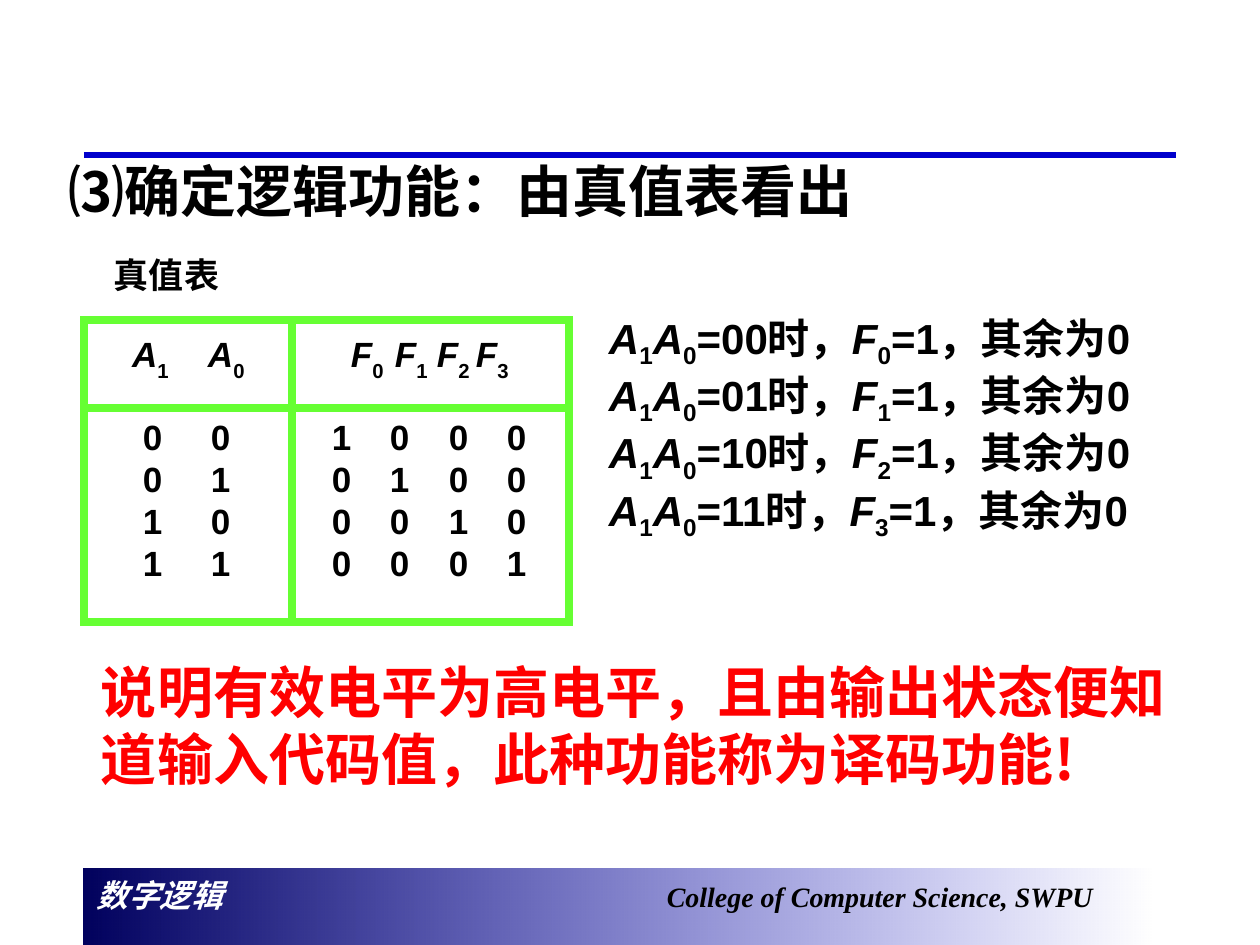
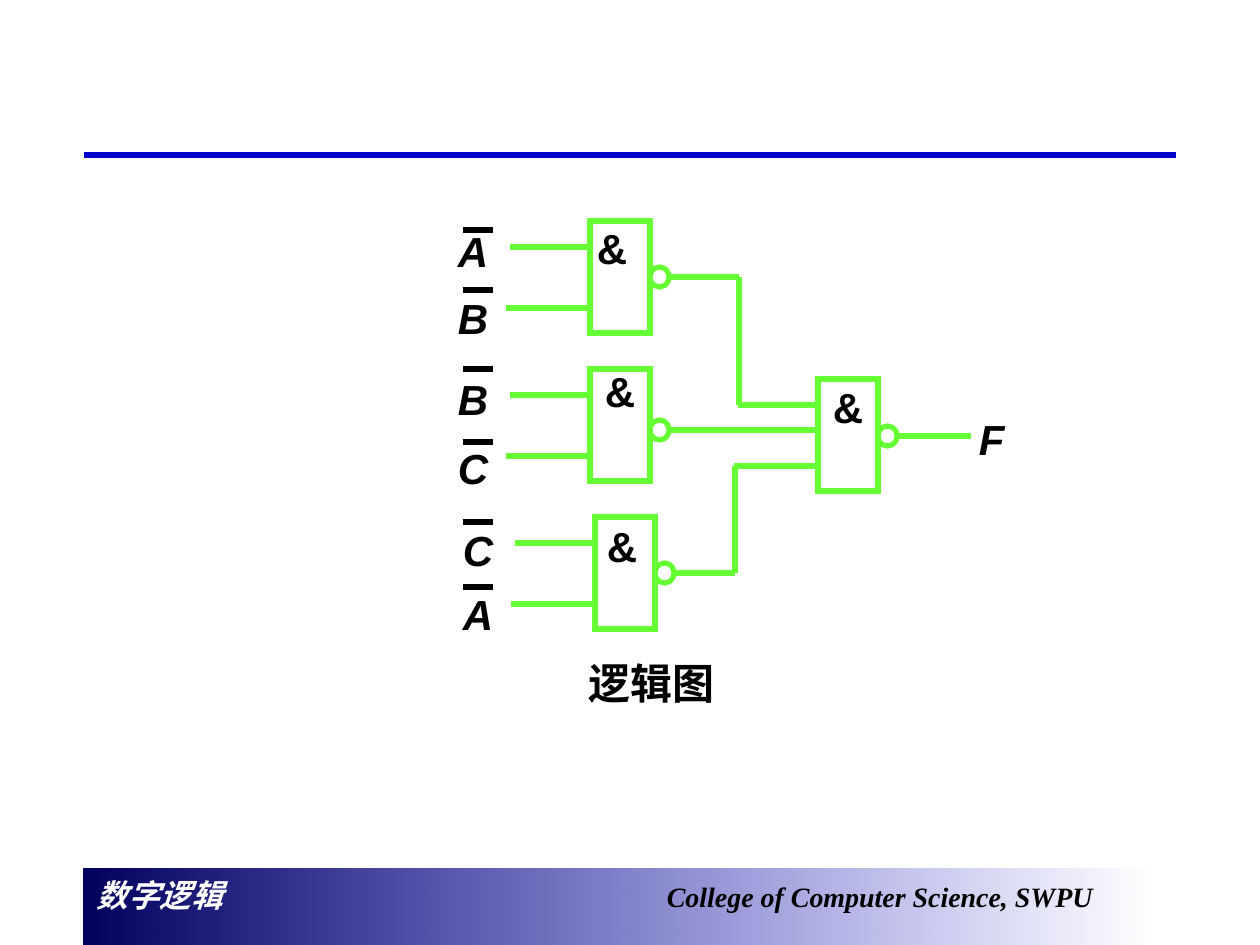
from typing import NamedTuple

from lxml import etree
from pptx import Presentation
from pptx import util as u
from pptx.dml.color import RGBColor
from pptx.enum import shapes, text
from pptx.oxml import ns

BLACK = RGBColor(0, 0, 0)
WHITE = RGBColor(255, 255, 255)
RED = RGBColor(255, 0, 0)
GREEN = RGBColor(0x66, 0xFF, 0x33)
BLUE = RGBColor(0, 0, 0xCC)
NAVY = RGBColor(0, 0, 0x5E)
ARIAL = "Arial"
TIMES = "Times New Roman"
HAN = "Noto Sans CJK SC"
SCALE = 914400 / 126
LEFT = text.PP_ALIGN.LEFT
MID = text.PP_ALIGN.CENTER


class Box(NamedTuple):
    x: int
    y: int
    w: int
    h: int


class Bit(NamedTuple):
    text: str
    slant: bool = False
    drop: int = 0


class Style(NamedTuple):
    size: int
    color: RGBColor = BLACK
    face: str = ARIAL
    lead: float = 0
    align: text.PP_ALIGN = LEFT
    inset: int = 13
    tabs: tuple[int, ...] = ()


class Gate(NamedTuple):
    x: int
    y: int
    dot: int
    end: int
    sign: tuple[int, int]


class Input(NamedTuple):
    name: str
    x: int
    y: int
    bar: int


class Group(NamedTuple):
    name: str
    x: int
    width: int
    heads: tuple[int, ...]
    stops: tuple[int, ...]
    rows: tuple[str, ...]


GATES = [
    Gate(590, 221, 56, 739, (-6, -5)),
    Gate(590, 369, 61, 818, (2, -10)),
    Gate(595, 517, 56, 735, (-1, -3)),
    Gate(818, 379, 57, 971, (2, -4)),
]
INPUTS = [
    Input("A", 445, 219, 230),
    Input("B", 445, 286, 290),
    Input("B", 445, 367, 369),
    Input("C", 445, 436, 442),
    Input("C", 450, 518, 522),
    Input("A", 450, 582, 587),
]
GROUPS = [
    Group("A", 84, 208, (132, 208), (143, 211), ("00", "01", "10", "11")),
    Group("F", 292, 277, (351, 395, 437, 476), (332, 390, 449, 507),
          ("1000", "0100", "0010", "0001")),
]


def px(n: int) -> u.Emu:
    return u.Emu(round(n * SCALE))


def place(box: Box) -> tuple[u.Emu, ...]:
    return tuple(px(n) for n in box)


def add_run(para, bit: Bit, style: Style) -> None:
    run = para.add_run()
    run.text = bit.text
    font = run.font
    font.name = style.face
    font.size = u.Pt(style.size)
    font.bold = True
    font.italic = bit.slant
    font.color.rgb = style.color
    props = font._element
    etree.SubElement(props, ns.qn("a:ea")).set("typeface", HAN)
    if bit.drop:
        props.set("baseline", str(-1000 * bit.drop))


def add_tabs(para, stops: tuple[int, ...]) -> None:
    tabs = etree.SubElement(para._p.get_or_add_pPr(), ns.qn("a:tabLst"))
    for stop in stops:
        etree.SubElement(tabs, ns.qn("a:tab"), pos=str(px(stop)), algn="l")


def write(frame, lines: list[list[Bit]], style: Style) -> None:
    frame.word_wrap = True
    frame.auto_size = text.MSO_AUTO_SIZE.NONE
    frame.vertical_anchor = text.MSO_ANCHOR.TOP
    frame.margin_left = px(style.inset)
    for i, line in enumerate(lines):
        para = frame.add_paragraph() if i else frame.paragraphs[0]
        if style.tabs:
            add_tabs(para, style.tabs)
        para.alignment = style.align
        if style.lead:
            para.line_spacing = u.Pt(style.lead)
        for bit in line:
            add_run(para, bit, style)


def label(slide, box: Box, lines: list[list[Bit]], style: Style) -> None:
    write(slide.shapes.add_textbox(*place(box)).text_frame, lines, style)


def var(name: str, index: str, drop: int) -> list[Bit]:
    return [Bit(name, slant=True), Bit(index, drop=drop)]


def wire(slide, x1: int, y1: int, x2: int, y2: int, color: RGBColor = GREEN) -> None:
    ends = [px(n) for n in (x1, y1, x2, y2)]
    line = slide.shapes.add_connector(shapes.MSO_CONNECTOR.STRAIGHT, *ends)
    line.line.color.rgb = color
    line.line.width = u.Pt(3)
    etree.SubElement(line._element.spPr, ns.qn("a:effectLst"))


def outline(slide, kind: shapes.MSO_SHAPE, box: Box, weight: float = 3) -> None:
    shape = slide.shapes.add_shape(kind, *place(box))
    shape.shadow.inherit = False
    shape.fill.background()
    shape.line.color.rgb = GREEN
    shape.line.width = u.Pt(weight)
    line = shape._element.spPr.find(ns.qn("a:ln"))
    etree.SubElement(line, ns.qn("a:miter")).set("lim", "800000")


def frame_slide(slide) -> None:
    band = slide.shapes.add_shape(shapes.MSO_SHAPE.RECTANGLE, *place(Box(84, 869, 1071, 76)))
    band.shadow.inherit = False
    band.line.fill.background()
    band.fill.gradient()
    band.fill.gradient_angle = 0
    for stop, color, spot in zip(band.fill.gradient_stops, (NAVY, BLUE), (0, 1)):
        stop.color.rgb = color
        stop.position = spot
    last = band._element.spPr.findall(".//" + ns.qn("a:srgbClr"))[-1]
    etree.SubElement(last, ns.qn("a:alpha")).set("val", "0")
    course = Style(18, WHITE, TIMES, 22.2, tabs=(570,))
    write(band.text_frame, [[Bit("数字逻辑\t", slant=True)]], course)
    school = Bit("College of Computer Science, SWPU", slant=True)
    add_run(band.text_frame.paragraphs[0], school, Style(16, BLACK, TIMES))
    wire(slide, 84, 155, 1176, 155, BLUE)


def panel(slide, box: Box, top: int, lines: list[list[Bit]], stops: tuple[int, ...]) -> None:
    left = box.x + 13
    first, *rest = stops
    tabs = tuple(stop - first for stop in rest)
    style = Style(20, lead=24, inset=first - left, tabs=tabs)
    label(slide, Box(left, top, box.w - 26, box.h - 12), lines, style)
    outline(slide, shapes.MSO_SHAPE.RECTANGLE, box, 4.5)


def truth_table(slide) -> None:
    for group in GROUPS:
        head: list[Bit] = []
        for n in range(len(group.heads)):
            index = str(1 - n if group.name == "A" else n)
            gap = [Bit("\t")] if n else []
            head += [*gap, *var(group.name, index, 30)]
        body = [[Bit("\t".join(row))] for row in group.rows]
        panel(slide, Box(group.x, 320, group.width, 88), 334, [head], group.heads)
        panel(slide, Box(group.x, 408, group.width, 214), 409, body, group.stops)


def decoder(deck) -> None:
    slide = deck.slides.add_slide(deck.slide_layouts[5])
    frame_slide(slide)
    title = slide.shapes.title
    title.left, title.top, title.width, title.height = place(Box(55, 150, 1071, 90))
    write(title.text_frame, [[Bit("⑶确定逻辑功能：由真值表看出")]], Style(32, lead=38.4))
    label(slide, Box(101, 247, 452, 56), [[Bit("真值表")]], Style(20, lead=24))
    truth_table(slide)
    cases = [
        [*var("A", "1", 25), *var("A", "0", 25), Bit(f"={n:02b}时，"),
         *var("F", str(n), 25), Bit("=1，其余为0")]
        for n in range(4)
    ]
    label(slide, Box(596, 306, 630, 242), cases, Style(24, lead=32.75))
    note = "说明有效电平为高电平，且由输出状态便知道输入代码值，此种功能称为译码功能!"
    label(slide, Box(88, 651, 1092, 147), [[Bit(note)]], Style(32, RED, HAN, 38.4))


def draw_gate(slide, gate: Gate) -> None:
    x, y = gate.x, gate.y
    mid = y + gate.dot
    outline(slide, shapes.MSO_SHAPE.RECTANGLE, Box(x, y, 60, 112))
    outline(slide, shapes.MSO_SHAPE.OVAL, Box(x + 60, mid - 10, 19, 20))
    wire(slide, x - 80, y + 26, x, y + 26)
    wire(slide, x - 84, y + 87, x, y + 87)
    wire(slide, x + 79, mid, gate.end, mid)
    dx, dy = gate.sign
    label(slide, Box(x + dx, y + dy, 87, 63), [[Bit("&")]], Style(24))


def circuit(deck) -> None:
    slide = deck.slides.add_slide(deck.slide_layouts[6])
    frame_slide(slide)
    for gate in GATES:
        draw_gate(slide, gate)
    wire(slide, 739, 277, 739, 405)
    wire(slide, 735, 466, 735, 573)
    for pin in INPUTS:
        wire(slide, 463, pin.bar, 493, pin.bar, BLACK)
        label(slide, Box(pin.x, pin.y, 112, 92), [[Bit(pin.name, slant=True)]], Style(24))
    label(slide, Box(966, 407, 82, 71), [[Bit("F", slant=True)]], Style(24))
    label(slide, Box(443, 651, 417, 66), [[Bit("逻辑图")]], Style(24, lead=28.8, align=MID))


def main() -> None:
    deck = Presentation()
    deck.slide_width, deck.slide_height = px(1260), px(945)
    decoder(deck)
    circuit(deck)
    deck.save("out.pptx")


if __name__ == "__main__":
    main()
